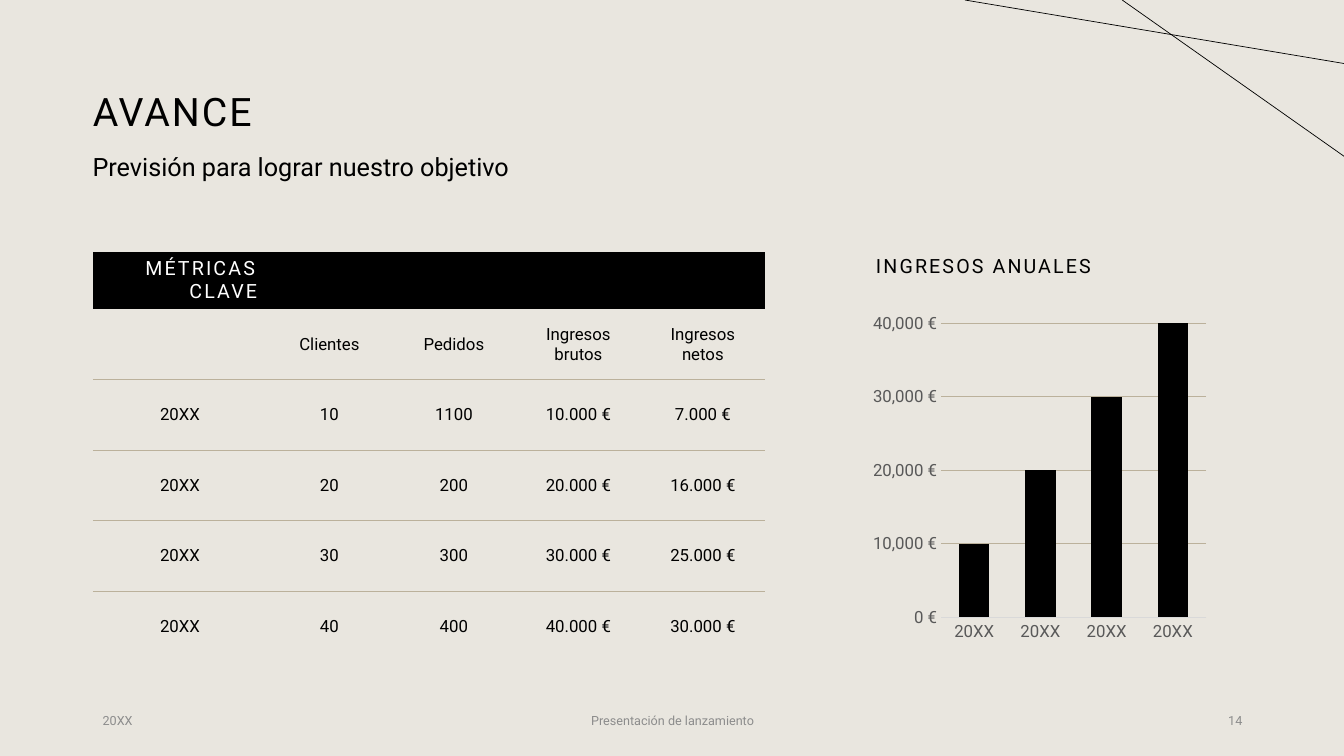
from lxml.etree import SubElement
from pptx import Presentation
from pptx.chart.data import CategoryChartData
from pptx.dml.color import RGBColor
from pptx.enum.chart import XL_CHART_TYPE, XL_TICK_MARK
from pptx.enum.shapes import MSO_CONNECTOR
from pptx.enum.text import MSO_ANCHOR, PP_ALIGN
from pptx.oxml.ns import qn
from pptx.util import Inches, Pt

FONT = "Roboto"
BACKGROUND = RGBColor(0xE9, 0xE6, 0xDF)
BLACK = RGBColor(0x00, 0x00, 0x00)
WHITE = RGBColor(0xFF, 0xFF, 0xFF)
SAND = RGBColor(0xBB, 0xB1, 0x9B)
AXIS_TEXT = RGBColor(0x59, 0x59, 0x59)
AXIS_LINE = RGBColor(0xD9, 0xD9, 0xD9)
FOOTER_GREY = RGBColor(0x8C, 0x8C, 0x8C)

# Grid, in inches
WIDTH, HEIGHT = 13.33, 7.5
MARGIN = 0.92
CONTENT_WIDTH = 11.5
CONTENT_TOP = 2.5
TABLE_WIDTH = 6.67
YEAR_COLUMN = 1.73
HEADER_ROW, BODY_ROW = 0.56, 0.7
CHART_LEFT, CHART_WIDTH = 8.59, 3.44
FOOTER_TOP, FOOTER_HEIGHT, FOOTER_SIDE = 6.95, 0.4, 3

NO_STYLE_NO_GRID = "{2D5ABB26-0587-4C30-8999-92F81FD0307C}"
METRICS = [
    ["MÉTRICAS CLAVE", "", "", "", ""],
    ["", "Clientes", "Pedidos", "Ingresos brutos", "Ingresos netos"],
    ["20XX", "10", "1100", "10.000 €", "7.000 €"],
    ["20XX", "20", "200", "20.000 €", "16.000 €"],
    ["20XX", "30", "300", "30.000 €", "25.000 €"],
    ["20XX", "40", "400", "40.000 €", "30.000 €"],
]
ANNUAL_INCOME = [10000, 20000, 30000, 40000]


def set_font(font, size, color):
    font.name = FONT
    font.size = Pt(size)
    font.color.rgb = color


def write(text_frame, text, size, color=BLACK, align=PP_ALIGN.LEFT, spacing=0,
          line_spacing=None):
    text_frame.text = text
    text_frame.word_wrap = True
    paragraph = text_frame.paragraphs[0]
    paragraph.alignment = align
    if line_spacing:
        paragraph.line_spacing = line_spacing
    set_font(paragraph.font, size, color)
    if spacing:
        properties = paragraph._p.pPr.find(qn("a:defRPr"))
        properties.set("spc", str(int(spacing * 100)))


def add_title(slide, text):
    title = slide.shapes.title
    title.left, title.top = Inches(MARGIN), Inches(0.4)
    title.width, title.height = Inches(CONTENT_WIDTH), Inches(1.45)
    title.text_frame.margin_left = 0
    title.text_frame.vertical_anchor = MSO_ANCHOR.MIDDLE
    write(title.text_frame, text, 28, spacing=1.5, line_spacing=0.9)


def add_text(slide, box, text, size, anchor=MSO_ANCHOR.TOP, **style):
    shape = slide.shapes.add_textbox(*map(Inches, box))
    shape.text_frame.vertical_anchor = anchor
    write(shape.text_frame, text, size, **style)


def add_bottom_border(cell):
    line = SubElement(cell._tc.get_or_add_tcPr(), qn("a:lnB"), w=str(Pt(1)))
    fill = SubElement(line, qn("a:solidFill"))
    SubElement(fill, qn("a:srgbClr"), val=str(SAND))


def format_cell(cell, text, row):
    is_header = row == 0
    cell.vertical_anchor = MSO_ANCHOR.MIDDLE
    if is_header:
        write(cell.text_frame, text, 14, WHITE, PP_ALIGN.RIGHT, spacing=1.5)
    else:
        write(cell.text_frame, text, 12, align=PP_ALIGN.CENTER)
    # Borders come before the fill in the cell properties
    if 0 < row < len(METRICS) - 1:
        add_bottom_border(cell)
    if is_header:
        cell.fill.solid()
        cell.fill.fore_color.rgb = BLACK
    else:
        cell.fill.background()


def add_metrics_table(slide):
    row_count, column_count = len(METRICS), len(METRICS[0])
    height = HEADER_ROW + BODY_ROW * (row_count - 1)
    frame = slide.shapes.add_table(
        row_count, column_count, Inches(MARGIN), Inches(CONTENT_TOP),
        Inches(TABLE_WIDTH), Inches(height))
    table = frame.table
    table.horz_banding = False
    table._tbl.tblPr.find(qn("a:tableStyleId")).text = NO_STYLE_NO_GRID
    value_column = (TABLE_WIDTH - YEAR_COLUMN) / (column_count - 1)
    for index, column in enumerate(table.columns):
        column.width = Inches(value_column if index else YEAR_COLUMN)
    for index, row in enumerate(table.rows):
        row.height = Inches(BODY_ROW if index else HEADER_ROW)
        for cell, text in zip(row.cells, METRICS[index]):
            format_cell(cell, text, index)


def add_income_chart(slide):
    data = CategoryChartData()
    data.categories = ["20XX"] * len(ANNUAL_INCOME)
    data.add_series("Series 1", ANNUAL_INCOME)
    chart = slide.shapes.add_chart(
        XL_CHART_TYPE.COLUMN_CLUSTERED, Inches(CHART_LEFT), Inches(3.04),
        Inches(CHART_WIDTH), Inches(3.39), data).chart
    set_font(chart.font, 10, BLACK)
    chart.has_legend = False
    chart.has_title = False

    # Columns
    plot = chart.plots[0]
    plot.vary_by_categories = False
    plot.gap_width, plot.overlap = 118, -3
    column_fill = plot.series[0].format.fill
    column_fill.solid()
    column_fill.fore_color.rgb = BLACK

    # Axes
    for axis in (chart.category_axis, chart.value_axis):
        axis.major_tick_mark = axis.minor_tick_mark = XL_TICK_MARK.NONE
        set_font(axis.tick_labels.font, 12, AXIS_TEXT)
    category_line = chart.category_axis.format.line
    category_line.color.rgb = AXIS_LINE
    category_line.width = Pt(0.75)
    value_axis = chart.value_axis
    value_axis.minimum_scale, value_axis.maximum_scale = 0, 40000
    value_axis.major_unit = 10000
    value_axis.format.line.fill.background()
    value_axis.tick_labels.number_format = '#,##0\\ "€"'
    value_axis.tick_labels.number_format_is_linked = False
    gridline = value_axis.major_gridlines.format.line
    gridline.color.rgb = SAND
    gridline.width = Pt(0.75)


def add_corner_line(slide, start_x, end_y):
    """Draw a line from the top edge to the right edge of the slide."""
    line = slide.shapes.add_connector(
        MSO_CONNECTOR.STRAIGHT, Inches(start_x), 0, Inches(WIDTH), Inches(end_y))
    line.line.color.rgb = BLACK
    line.line.width = Pt(0.5)
    SubElement(line._element.spPr, qn("a:effectLst"))


def add_footer(slide):
    middle_left = MARGIN + FOOTER_SIDE + 0.5
    right_left = MARGIN + CONTENT_WIDTH - FOOTER_SIDE
    parts = [
        ("20XX", MARGIN, FOOTER_SIDE, PP_ALIGN.LEFT),
        ("Presentación de lanzamiento", middle_left, 4.5, PP_ALIGN.CENTER),
        ("14", right_left, FOOTER_SIDE, PP_ALIGN.RIGHT),
    ]
    for text, left, width, align in parts:
        add_text(slide, (left, FOOTER_TOP, width, FOOTER_HEIGHT), text, 9,
                 MSO_ANCHOR.MIDDLE, color=FOOTER_GREY, align=align)


def main():
    presentation = Presentation()
    presentation.slide_width = Inches(WIDTH)
    presentation.slide_height = Inches(HEIGHT)
    slide = presentation.slides.add_slide(presentation.slide_layouts[5])
    slide.background.fill.solid()
    slide.background.fill.fore_color.rgb = BACKGROUND

    # Headings
    add_title(slide, "AVANCE")
    add_text(slide, (MARGIN - 0.1, 1.49, 7.4, 0.54),
             "Previsión para lograr nuestro objetivo", 18, line_spacing=0.9)

    # Table and chart
    add_metrics_table(slide)
    add_text(slide, (CHART_LEFT, CONTENT_TOP, CHART_WIDTH, 0.34),
             "INGRESOS ANUALES", 14, spacing=1.5, line_spacing=0.9)
    add_income_chart(slide)

    # Footer and corner decoration
    add_footer(slide)
    add_corner_line(slide, 11.13, 1.55)
    add_corner_line(slide, 9.57, 0.63)
    presentation.save("out.pptx")


if __name__ == "__main__":
    main()
